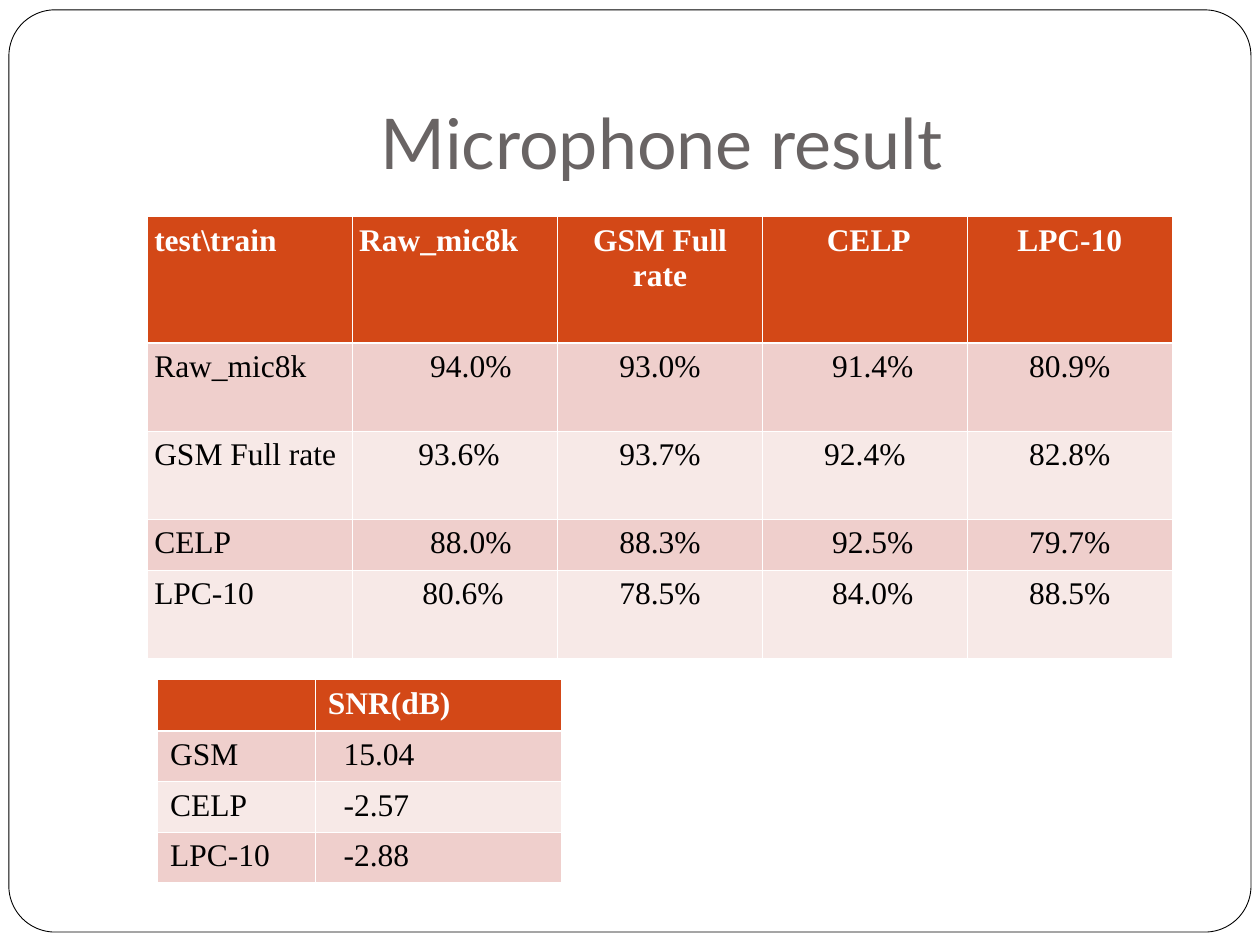
"""Build the slide with the microphone recognition and SNR tables."""
import pptx
import pptx.util
import pptx.dml.color
import pptx.enum.shapes
import pptx.enum.text
import pptx.oxml
from pptx.oxml import ns

Cm, Pt = pptx.util.Cm, pptx.util.Pt
RGBColor = pptx.dml.color.RGBColor
ALIGN = pptx.enum.text.PP_ALIGN

WHITE = RGBColor(0xFF, 0xFF, 0xFF)
BLACK = RGBColor(0, 0, 0)
GREY = RGBColor(0x69, 0x64, 0x64)
ORANGE = RGBColor(0xD3, 0x48, 0x17)
PINK = RGBColor(0xEF, 0xCF, 0xCC)
PALE = RGBColor(0xF7, 0xE9, 0xE7)

RESULTS = [
    ["test\\train", "Raw_mic8k", "GSM Full rate", "CELP", "LPC-10"],
    ["Raw_mic8k", "94.0%", "93.0%", "91.4%", "80.9%"],
    ["GSM Full rate", "93.6%", "93.7%", "92.4%", "82.8%"],
    ["CELP", "88.0%", "88.3%", "92.5%", "79.7%"],
    ["LPC-10", "80.6%", "78.5%", "84.0%", "88.5%"],
]
RESULT_INDENTS = {(0, 3): 4.5, (1, 1): 18, (1, 3): 9, (2, 1): 4.5,
                  (3, 1): 18, (3, 3): 9, (4, 1): 9, (4, 3): 9}
SNR = [["", "SNR(dB)"], ["GSM", "15.04"], ["CELP", "-2.57"], ["LPC-10", "-2.88"]]
SNR_INDENTS = {(row, 1): 9 for row in (1, 2, 3)}


class Deck:
    """Hold the style and the current slide."""

    title_font, body_font = "Lato", "Times New Roman"
    title_size, body_size = Pt(40), Pt(18)
    thin, thick = Pt(0.45), Pt(1.47)

    def __init__(self):
        self.prs = pptx.Presentation()
        self.prs.slide_width, self.prs.slide_height = Cm(25.4), Cm(19.05)
        self.s = self.prs.slides.add_slide(self.prs.slide_layouts[5])

    def run(self, p, text, font, size, color, bold=False):
        r = p.add_run()
        r.text = text
        r.font.name, r.font.size, r.font.bold = font, size, bold
        r.font.color.rgb = color

    def frame(self, left, top, width, height):
        sp = self.s.shapes.add_shape(
            pptx.enum.shapes.MSO_SHAPE.ROUNDED_RECTANGLE,
            Cm(left), Cm(top), Cm(width), Cm(height))
        sp.adjustments[0] = 0.05
        sp.shadow.inherit = False
        sp.fill.solid()
        sp.fill.fore_color.rgb = WHITE
        sp.line.color.rgb = BLACK
        sp.line.width = Pt(0.5)
        self.s.shapes.element.insert(2, sp.element)

    def title(self, text, left, top, width, height):
        sp = self.s.shapes.title
        sp.left, sp.top, sp.width, sp.height = Cm(left), Cm(top), Cm(width), Cm(height)
        tf = sp.text_frame
        tf.word_wrap = True
        tf.auto_size = pptx.enum.text.MSO_AUTO_SIZE.NONE
        tf.vertical_anchor = pptx.enum.text.MSO_ANCHOR.BOTTOM
        tf.margin_left = tf.margin_right = tf.margin_bottom = Cm(0.25)
        tf.margin_top = Cm(0.13)
        p = tf.paragraphs[0]
        p.alignment = ALIGN.CENTER
        self.run(p, text, self.title_font, self.title_size, GREY)

    def border(self, cell, side, width):
        tc_pr = cell._tc.get_or_add_tcPr()
        tc_pr.append(pptx.oxml.parse_xml(
            f'<a:ln{side} {ns.nsdecls("a")} w="{int(width)}"><a:solidFill>'
            f'<a:srgbClr val="{WHITE}"/></a:solidFill></a:ln{side}>'))

    def table(self, rows, left, top, widths, heights, margin, indents, centred=()):
        gf = self.s.shapes.add_table(
            len(rows), len(widths), Cm(left), Cm(top), Cm(sum(widths)), Cm(sum(heights)))
        tbl = gf.table
        tbl.horz_banding = False
        for column, width in zip(tbl.columns, widths):
            column.width = Cm(width)
        for i, row in enumerate(rows):
            tbl.rows[i].height = Cm(heights[i])
            fill = ORANGE if i == 0 else PINK if i % 2 else PALE
            for j, text in enumerate(row):
                cell = tbl.cell(i, j)
                for side in "LRTB":
                    heavy = (i, side) in ((0, "B"), (1, "T"))
                    self.border(cell, side, self.thick if heavy else self.thin)
                cell.fill.solid()
                cell.fill.fore_color.rgb = fill
                cell.margin_left = Cm(margin) + Pt(indents.get((i, j), 0))
                cell.margin_right = Cm(margin)
                cell.margin_top = cell.margin_bottom = Cm(0.13)
                p = cell.text_frame.paragraphs[0]
                p.alignment = ALIGN.CENTER if (i, j) in centred else ALIGN.LEFT
                if text:
                    self.run(p, text, self.body_font, self.body_size,
                             BLACK if i else WHITE, bold=i == 0)


def main():
    deck = Deck()
    deck.frame(0.18, 0.2, 25.04, 18.59)
    deck.title("Microphone result", 2.54, 0.76, 21.59, 3.18)
    centred = {(i, j) for i in range(5) for j in range(1, 5)} - {(0, 1)}
    deck.table(RESULTS, 2.98, 4.37, [4.13] * 5, [2.54, 1.78, 1.78, 1.02, 1.78],
               0.13, RESULT_INDENTS, centred)
    deck.table(SNR, 3.18, 13.7, [3.18, 4.95], [1.02] * 4, 0.25, SNR_INDENTS)
    deck.prs.save("out.pptx")


if __name__ == "__main__":
    main()
